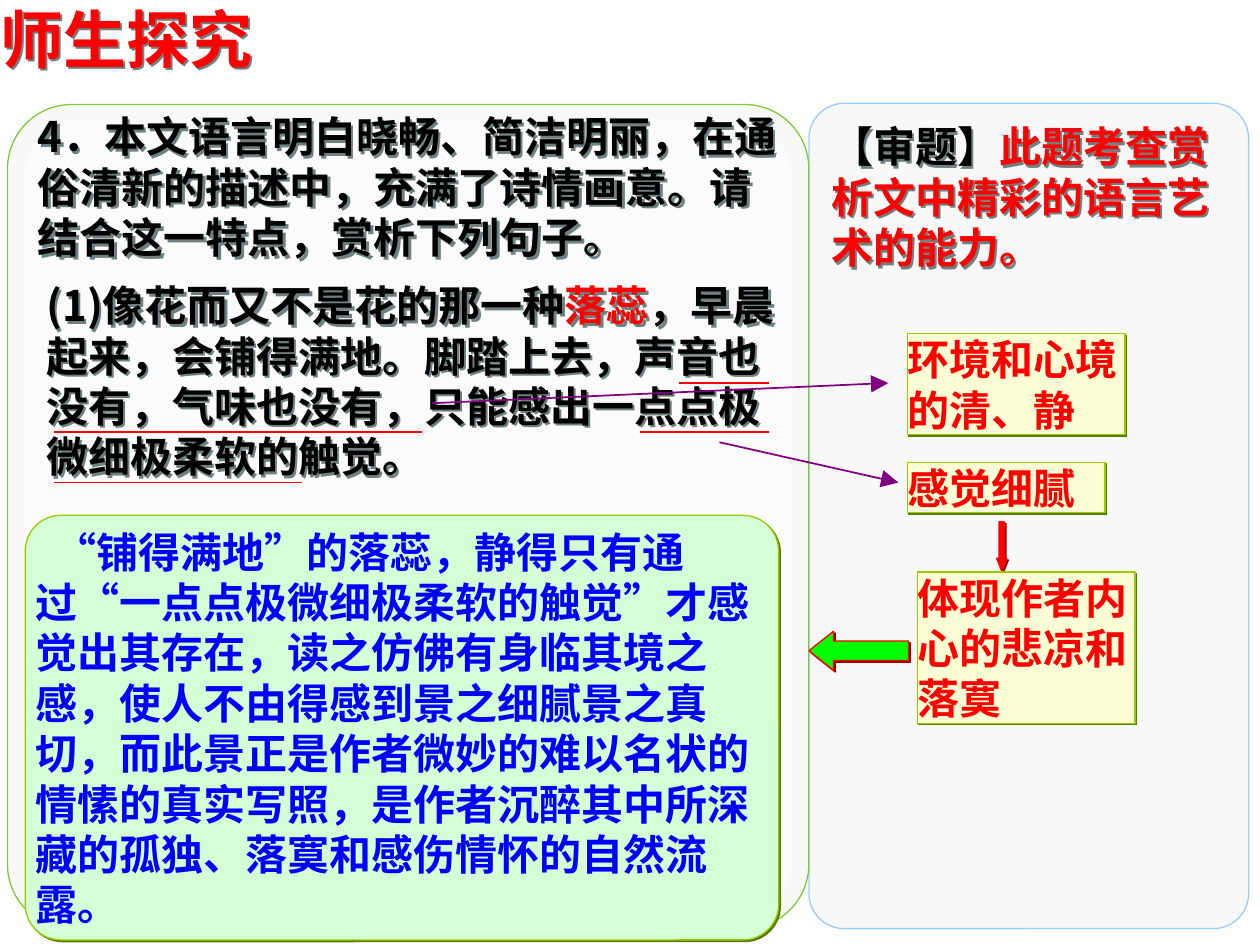
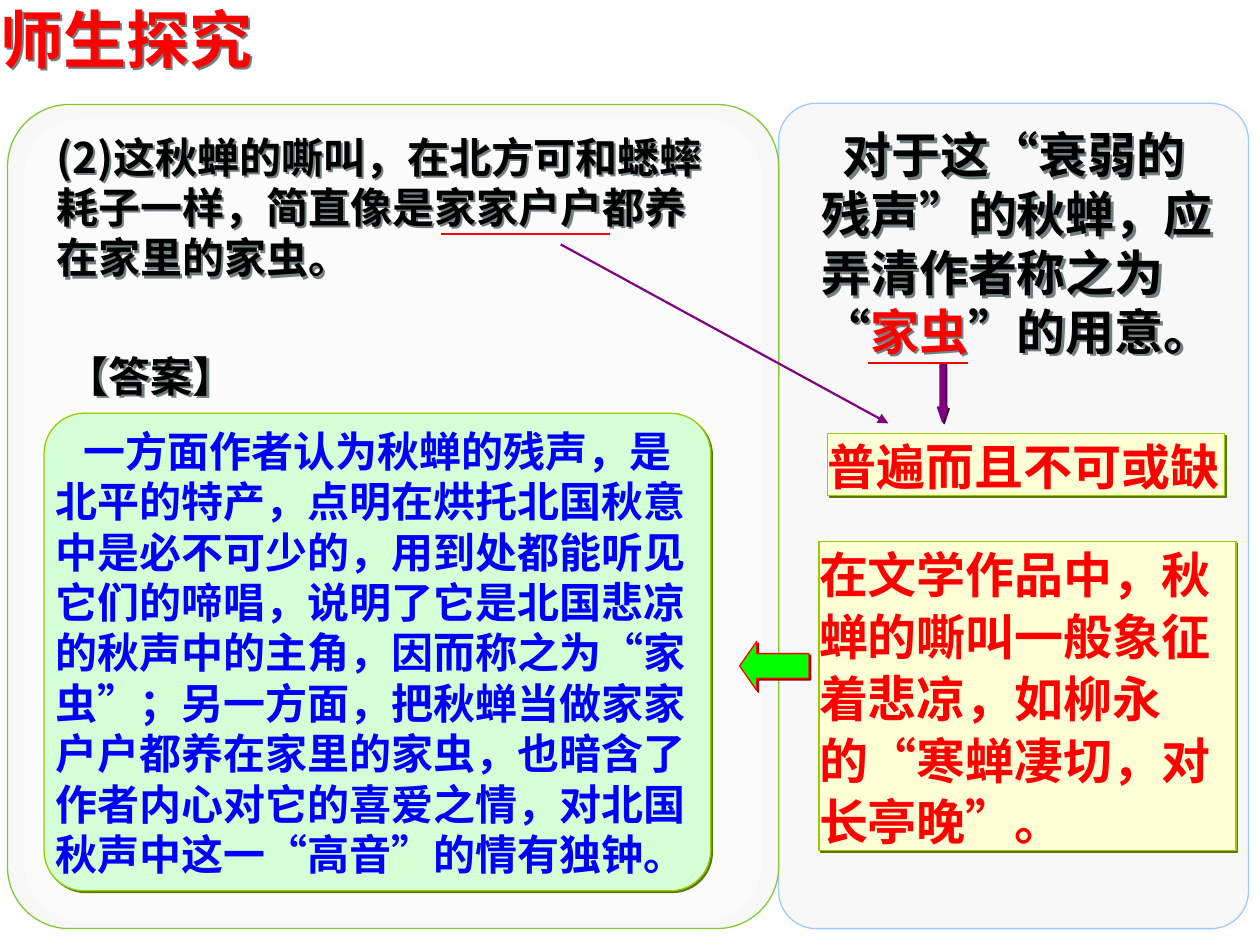
from lxml.etree import SubElement
from pptx import Presentation
from pptx.dml.color import RGBColor
from pptx.enum.lang import MSO_LANGUAGE_ID
from pptx.enum.shapes import MSO_CONNECTOR, MSO_SHAPE
from pptx.enum.text import MSO_ANCHOR, MSO_AUTO_SIZE, PP_ALIGN
from pptx.oxml.ns import qn
from pptx.util import Pt

PX = 9144
TITLE_ONLY = 5
PANEL_TOP, PANEL_LEFT, PANEL_RIGHT, PANEL_HEIGHT = 83, 6, 991, 654
CORNER = 0.08
CJK = "Noto Sans CJK SC"
COLORS = {
    "black": "000000",
    "red": "FF0000",
    "blue": "0000FF",
    "purple": "800080",
    "lime": "00FF00",
    "panel": "F8F8F8",
    "sheen": "FFFFFF",
    "question_edge": "80CB35",
    "analysis_edge": "99CCFF",
    "answer": "D5FFD5",
    "note": "FFFFD5",
    "box_edge": "99CC00",
    "box_shadow": "5B7900",
    "red_shadow": "980000",
    "purple_shadow": "4C004C",
    "text_shadow": "708080",
}


def px(*lengths):
    return [length * PX for length in lengths]


def rgb(name):
    return RGBColor.from_string(COLORS[name])


def add_shadow(shape, color, distance=1.4):
    shape.shadow.inherit = False
    effects = shape._element.spPr.find(qn("a:effectLst"))
    shadow = SubElement(effects, qn("a:outerShdw"), dist=str(Pt(distance)), dir="2700000",
                        algn="ctr", rotWithShape="0")
    SubElement(shadow, qn("a:srgbClr"), val=COLORS[color])


def write_text(shape, paragraphs, size=24, font=CJK, anchor=MSO_ANCHOR.TOP,
               margins=(0, 0), indent=0, line_spacing=None):
    frame = shape.text_frame
    frame.word_wrap = True
    frame.auto_size = MSO_AUTO_SIZE.NONE
    frame.vertical_anchor = anchor
    frame.margin_left = frame.margin_right = margins[0] * PX
    frame.margin_top = frame.margin_bottom = margins[1] * PX
    for index, runs in enumerate(paragraphs):
        paragraph = frame.add_paragraph() if index else frame.paragraphs[0]
        paragraph.alignment = PP_ALIGN.LEFT
        if line_spacing:
            paragraph.line_spacing = line_spacing
        properties = paragraph._p.get_or_add_pPr()
        properties.set("hangingPunct", "0")
        if indent and index == 0:
            properties.set("indent", str(indent * PX))
        for text, color in runs:
            run = paragraph.add_run()
            run.text = text
            run.font.name = font
            run.font.size = Pt(size)
            run.font.bold = True
            run.font.color.rgb = rgb(color)
            run.font.language_id = MSO_LANGUAGE_ID.SIMPLIFIED_CHINESE
            run.font._element.find(qn("a:latin")).addnext(
                run.font._element.makeelement(qn("a:ea"), typeface=CJK))


def add_filled(slide, preset, bounds, fill, edge=None, shadow=None, adjustments=()):
    shape = slide.shapes.add_shape(preset, *px(*bounds))
    shape.fill.solid()
    shape.fill.fore_color.rgb = rgb(fill)
    if edge:
        shape.line.color.rgb = rgb(edge)
        shape.line.width = Pt(0.75)
    else:
        shape.line.fill.background()
    shape.shadow.inherit = False
    if shadow:
        add_shadow(shape, shadow)
    for index, value in enumerate(adjustments):
        shape.adjustments[index] = value
    return shape


def add_panel(slide, bounds, fill, edge=None):
    return add_filled(slide, MSO_SHAPE.ROUNDED_RECTANGLE, bounds, fill, edge, adjustments=[CORNER])


def add_panels(slide, divider):
    add_panel(slide, (divider, PANEL_TOP - 1, PANEL_RIGHT - divider, PANEL_HEIGHT + 1), "panel", "analysis_edge")
    width = divider - PANEL_LEFT
    add_panel(slide, (PANEL_LEFT, PANEL_TOP, width, PANEL_HEIGHT), "panel", "question_edge")
    sheen = add_panel(slide, (PANEL_LEFT + 13, PANEL_TOP + 11, width - 26, PANEL_HEIGHT - 17), "sheen")
    color = next(sheen._element.spPr.iter(qn("a:srgbClr")))
    SubElement(color, qn("a:alpha"), val="50000")


def add_page(presentation, divider):
    slide = presentation.slides.add_slide(presentation.slide_layouts[TITLE_ONLY])
    title = slide.shapes.title
    title.left, title.top, title.width, title.height = px(0, 0, 335, 60)
    title.fill.background()
    write_text(title, [[("师生探究", "red")]], size=36, font="Arial")
    add_shadow(title, "text_shadow", 2)
    add_panels(slide, divider)
    return slide


def add_passage(slide, bounds, paragraphs, **style):
    box = slide.shapes.add_textbox(*px(*bounds))
    box.fill.background()
    write_text(box, paragraphs, margins=(10, 5), **style)
    add_shadow(box, "text_shadow", 2)


def add_answer(slide, bounds, text, **style):
    box = add_filled(slide, MSO_SHAPE.ROUNDED_RECTANGLE, bounds, "answer", "box_edge", "box_shadow", [0.084])
    write_text(box, [[(text, "blue")]], anchor=MSO_ANCHOR.MIDDLE, **style)


def add_note(slide, bounds, text, **style):
    box = add_filled(slide, MSO_SHAPE.RECTANGLE, bounds, "note", "box_edge", "box_shadow")
    write_text(box, [[(text, "red")]], font="Arial", **style)


def add_down_arrow(slide, bounds, color, head):
    add_filled(slide, MSO_SHAPE.DOWN_ARROW, bounds, color, color, color + "_shadow", [0.5, head])


def add_left_arrow(slide, bounds, head):
    add_filled(slide, MSO_SHAPE.LEFT_ARROW, bounds, "lime", "red", "red_shadow", [0.5, head])


def add_line(slide, start, end, color, width=1):
    connector = slide.shapes.add_connector(MSO_CONNECTOR.STRAIGHT, *px(*start, *end))
    connector.line.color.rgb = rgb(color)
    connector.line.width = Pt(width)
    SubElement(connector._element.spPr, qn("a:effectLst"))
    return connector


def add_underline(slide, left, right, y):
    add_line(slide, (left, y), (right, y), "red")


def add_pointer(slide, start, end, width=1, head="lg"):
    pointer = add_line(slide, start, end, "purple", width)
    SubElement(pointer._element.spPr.find(qn("a:ln")), qn("a:tailEnd"), type="triangle", w=head, len=head)


def build_fallen_petals(presentation):
    slide = add_page(presentation, 642)
    add_passage(slide, (20, 83, 614, 130), [[
        ("4．本文语言明白晓畅、简洁明丽，在通俗清新的描述中，充满了诗情画意。请结合这一特点，赏析下列句子。", "black"),
    ]], anchor=MSO_ANCHOR.MIDDLE)
    add_passage(slide, (27, 217, 599, 170), [[
        ("(1)像花而又不是花的那一种", "black"),
        ("落蕊", "red"),
        ("，早晨起来，会铺得满地。脚踏上去，声音也没有，气味也没有，只能感出一点点极微细极柔软的触觉。", "black"),
    ]], anchor=MSO_ANCHOR.MIDDLE)
    add_answer(slide, (20, 409, 598, 337),
               "“铺得满地”的落蕊，静得只有通过“一点点极微细极柔软的触觉”才感觉出其存在，"
               "读之仿佛有身临其境之感，使人不由得感到景之细腻景之真切，"
               "而此景正是作者微妙的难以名状的情愫的真实写照，"
               "是作者沉醉其中所深藏的孤独、落寞和感伤情怀的自然流露。", indent=15)
    add_passage(slide, (650, 91, 331, 130), [[
        ("【审题】", "black"),
        ("此题考查赏析文中精彩的语言艺术的能力。", "red"),
    ]], font="Arial")
    for left, right, y in [(539, 610, 304), (43, 335, 343), (508, 610, 343), (43, 240, 383)]:
        add_underline(slide, left, right, y)
    add_pointer(slide, (343, 320), (705, 304))
    add_pointer(slide, (571, 351), (713, 383))
    add_note(slide, (720, 265, 173, 80), "环境和心境的清、静")
    add_note(slide, (720, 367, 157, 40), "感觉细腻")
    add_down_arrow(slide, (791, 414, 8, 39), "red", 1.24)
    add_note(slide, (728, 454, 173, 120), "体现作者内心的悲凉和落寞")
    add_left_arrow(slide, (642, 501, 79, 31), 0.63)


def build_autumn_cicada(presentation):
    slide = add_page(presentation, 618)
    add_passage(slide, (35, 99, 551, 130), [[
        ("(2)这秋蝉的嘶叫，在北方可和蟋蟀耗子一样，简直像是家家户户都养在家里的家虫。", "black"),
    ]], anchor=MSO_ANCHOR.MIDDLE)
    add_answer(slide, (35, 328, 529, 379),
               "一方面作者认为秋蝉的残声，是北平的特产，点明在烘托北国秋意中是必不可少的，"
               "用到处都能听见它们的啼唱，说明了它是北国悲凉的秋声中的主角，因而称之为“家虫”；"
               "另一方面，把秋蝉当做家家户户都养在家里的家虫，也暗含了作者内心对它的喜爱之情，"
               "对北国秋声中这一“高音”的情有独钟。", font="Arial", indent=22)
    add_passage(slide, (642, 94, 340, 197), [
        [("对于这“衰弱的残声”的秋蝉，应弄清作者称之为", "black")],
        [("“", "black"), ("家虫", "red"), ("”的用意。", "black")],
    ], size=28, anchor=MSO_ANCHOR.MIDDLE, indent=17)
    add_down_arrow(slide, (744, 288, 8, 47), "purple", 1.48)
    add_underline(slide, 689, 768, 288)
    add_pointer(slide, (445, 194), (705, 336), 1.25, "med")
    add_underline(slide, 350, 484, 186)
    add_note(slide, (657, 344, 315, 49), "普遍而且不可或缺", size=28, line_spacing=1.05)
    add_note(slide, (650, 430, 331, 245),
             "在文学作品中，秋蝉的嘶叫一般象征着悲凉，如柳永的“寒蝉凄切，对长亭晚”。",
             size=28, line_spacing=1.05)
    add_left_arrow(slide, (587, 509, 55, 39), 0.35)
    add_passage(slide, (43, 273, 165, 50), [[("【答案】", "black")]], font="Arial")


def main():
    presentation = Presentation()
    presentation.slide_width, presentation.slide_height = px(1000, 750)
    build_fallen_petals(presentation)
    build_autumn_cicada(presentation)
    presentation.save("out.pptx")


if __name__ == "__main__":
    main()
